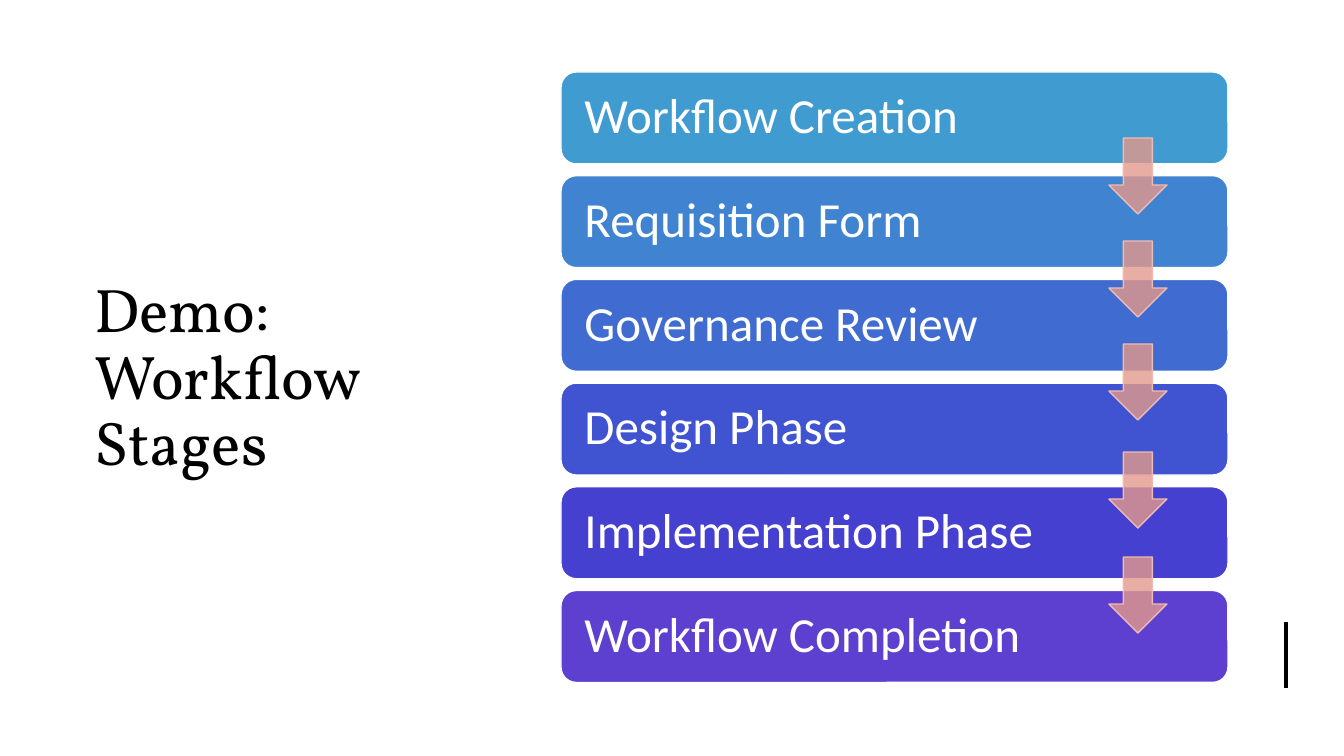
from dataclasses import dataclass

import pptx
import pptx.dml.color
import pptx.enum.shapes
import pptx.enum.text
import pptx.oxml
import pptx.oxml.ns
import pptx.util
from lxml import etree

RGBColor = pptx.dml.color.RGBColor
Shape = pptx.enum.shapes.MSO_SHAPE
Anchor = pptx.enum.text.MSO_ANCHOR
Align = pptx.enum.text.PP_ALIGN
qn = pptx.oxml.ns.qn

SLIDE_WIDTH, SLIDE_HEIGHT = 1344, 756
EMU_PER_PIXEL = 12192000 / SLIDE_WIDTH

WHITE = RGBColor(0xFF, 0xFF, 0xFF)
BLACK = RGBColor(0x00, 0x00, 0x00)
ARROW_FILL = RGBColor(0xE3, 0x99, 0x8C)
ARROW_LINE = RGBColor(0xEC, 0xBB, 0xB3)
ARROW_OPACITY = 80

STAGE_LEFT, STAGE_TOP = 561, 72
STAGE_WIDTH, STAGE_HEIGHT = 667, 92
STAGE_PITCH = 103.7
STAGE_INSET = 19
ARROW_LEFT, ARROW_WIDTH, ARROW_HEIGHT = 1109, 58, 76
ARROW_TOPS = (138, 241, 344, 452, 557)


@dataclass(frozen=True)
class Stage:
    """One step of the workflow and the colour of its bar."""

    label: str
    colour: RGBColor


STAGES = (
    Stage("Workflow Creation", RGBColor(0x40, 0x9B, 0xD0)),
    Stage("Requisition Form", RGBColor(0x40, 0x83, 0xD0)),
    Stage("Governance Review", RGBColor(0x40, 0x6B, 0xD0)),
    Stage("Design Phase", RGBColor(0x40, 0x53, 0xD0)),
    Stage("Implementation Phase", RGBColor(0x45, 0x40, 0xD0)),
    Stage("Workflow Completion", RGBColor(0x5D, 0x40, 0xD0)),
)


def px(pixels: float) -> pptx.util.Emu:
    """Turn pixels into EMU."""
    return pptx.util.Emu(round(pixels * EMU_PER_PIXEL))


def set_text(shape, text: str, font: str, size: int, colour: RGBColor,
             line_spacing: float) -> None:
    """Write one left-aligned, vertically centred paragraph."""
    frame = shape.text_frame
    frame.text = text
    frame.word_wrap = True
    frame.auto_size = pptx.enum.text.MSO_AUTO_SIZE.NONE
    frame.vertical_anchor = Anchor.MIDDLE
    para = frame.paragraphs[0]
    para.alignment = Align.LEFT
    para.line_spacing = line_spacing
    span = para.runs[0]
    span.font.name = font
    span.font.size = pptx.util.Pt(size)
    span.font.color.rgb = colour


def add_filled(page, kind: Shape, left: float, top: float, width: float,
               height: float, fill: RGBColor, line: RGBColor):
    """Add a flat preset shape with a thin outline."""
    shape = page.shapes.add_shape(kind, px(left), px(top), px(width), px(height))
    shape.shadow.inherit = False
    shape.fill.solid()
    shape.fill.fore_color.rgb = fill
    shape.line.color.rgb = line
    shape.line.width = pptx.util.Pt(1)
    return shape


def add_title(page) -> None:
    """Place and format the slide title."""
    title = page.shapes.title
    title.left, title.top = px(84), px(95)
    title.width, title.height = px(380), px(569)
    set_text(title, "Demo: Workflow Stages", "Vollkorn", 44, BLACK, 0.9)


def add_stage(page, stage: Stage, index: int) -> None:
    """Draw the bar of one workflow stage."""
    bar = add_filled(page, Shape.ROUNDED_RECTANGLE, STAGE_LEFT,
                     STAGE_TOP + index * STAGE_PITCH, STAGE_WIDTH,
                     STAGE_HEIGHT, stage.colour, WHITE)
    set_text(bar, stage.label, "Calibri", 35, WHITE, 0.9)
    bar.text_frame.margin_left = bar.text_frame.margin_right = px(STAGE_INSET)


def add_arrow(page, top: int) -> None:
    """Draw a translucent arrow leading to the next stage."""
    arrow = add_filled(page, Shape.DOWN_ARROW, ARROW_LEFT, top, ARROW_WIDTH,
                       ARROW_HEIGHT, ARROW_FILL, ARROW_LINE)
    colour = arrow.fill._xPr.find(qn("a:solidFill"))[0]
    etree.SubElement(colour, qn("a:alpha"), val=str(ARROW_OPACITY * 1000))


def add_accent_line(page) -> None:
    """Draw the short upright line at the lower right."""
    line = page.shapes.add_connector(
        pptx.enum.shapes.MSO_CONNECTOR.STRAIGHT,
        px(1286), px(622), px(1286), px(688))
    line.line.color.rgb = BLACK
    line.line.width = pptx.util.Pt(3)
    etree.SubElement(line._element.spPr, qn("a:effectLst"))


def main() -> None:
    """Build the slide and save it."""
    deck = pptx.Presentation()
    deck.slide_width, deck.slide_height = px(SLIDE_WIDTH), px(SLIDE_HEIGHT)
    page = deck.slides.add_slide(deck.slide_layouts.get_by_name("Title Only"))
    add_title(page)
    add_accent_line(page)
    for index, stage in enumerate(STAGES):
        add_stage(page, stage, index)
    for top in ARROW_TOPS:
        add_arrow(page, top)
    deck.save("out.pptx")


main()
